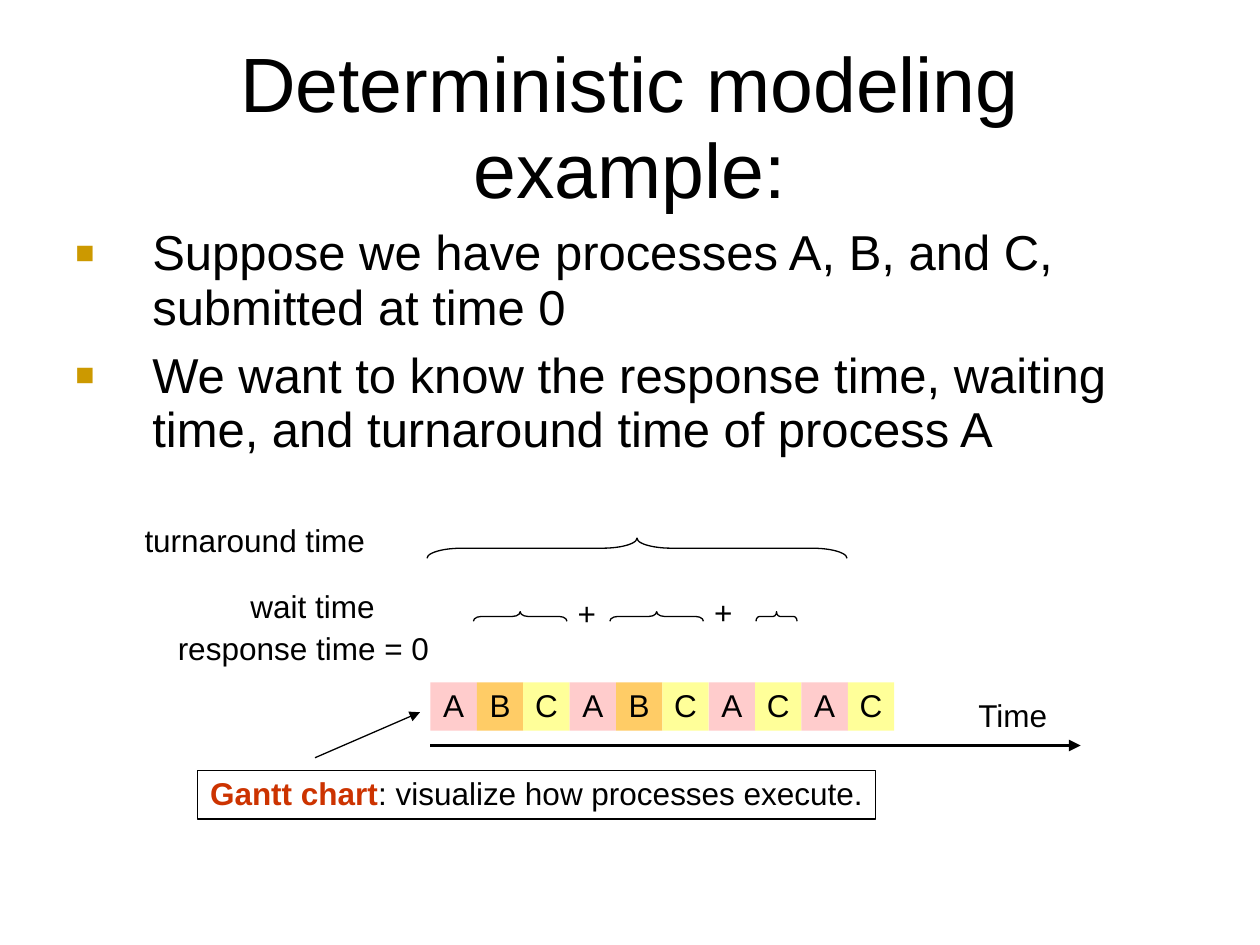
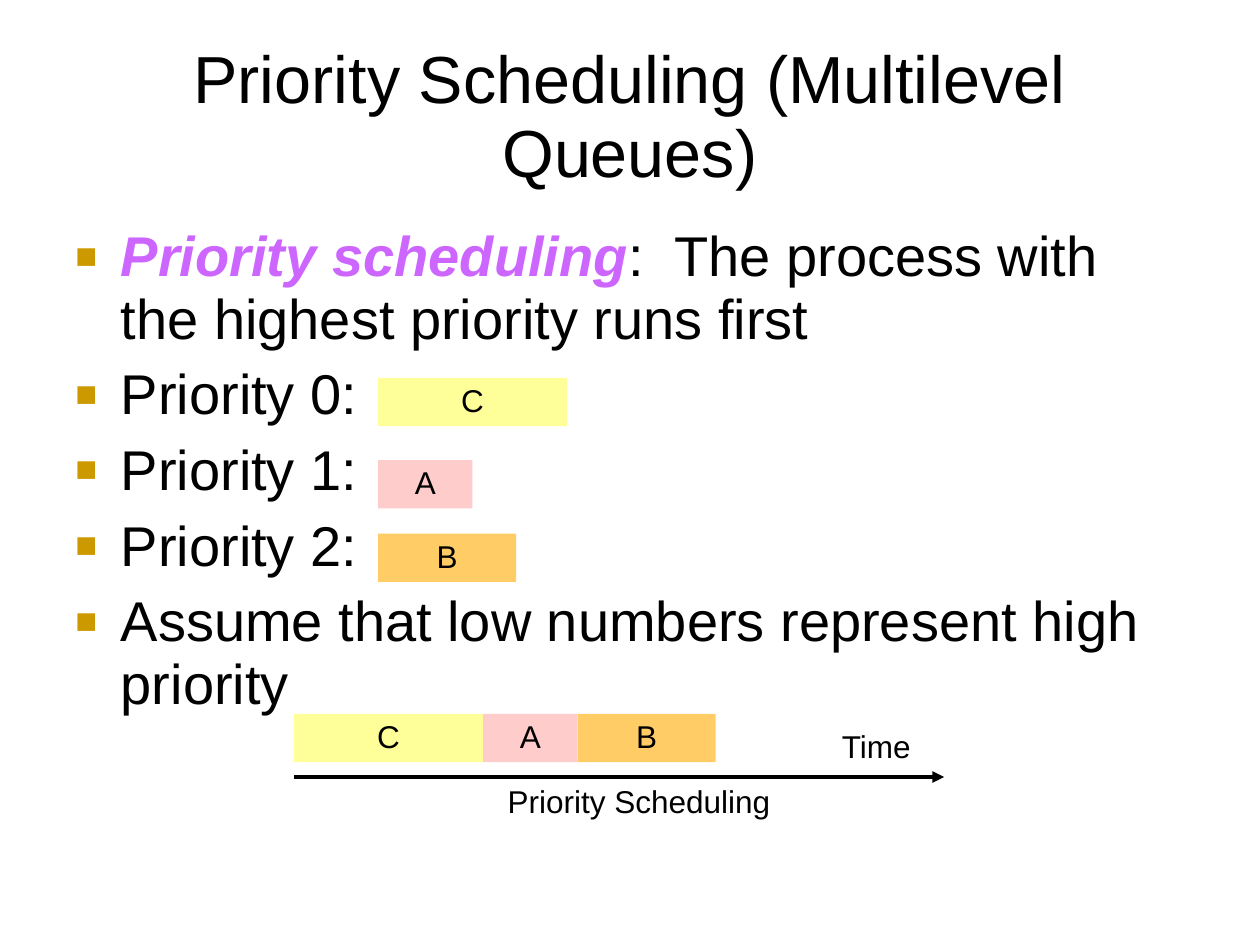
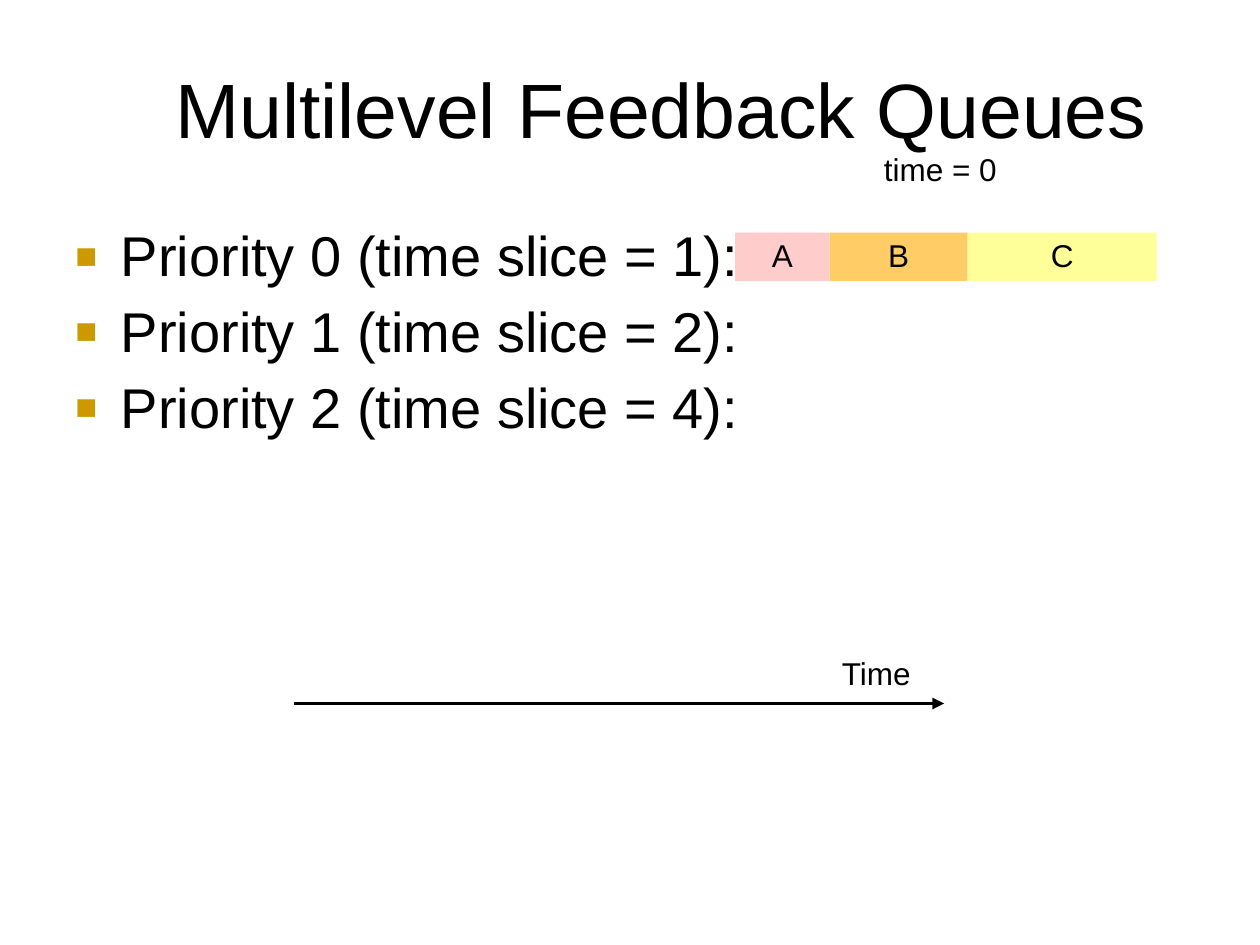
from lxml import etree
from pptx import Presentation
from pptx.dml.color import RGBColor
from pptx.enum.shapes import MSO_CONNECTOR, MSO_SHAPE
from pptx.enum.text import MSO_ANCHOR, MSO_AUTO_SIZE, PP_ALIGN
from pptx.oxml.ns import qn
from pptx.util import Pt

STRAIGHT = MSO_CONNECTOR.STRAIGHT
RECTANGLE, RIGHT_BRACE = MSO_SHAPE.RECTANGLE, MSO_SHAPE.RIGHT_BRACE
LEFT, CENTER = PP_ALIGN.LEFT, PP_ALIGN.CENTER
TOP = MSO_ANCHOR.TOP
NO_AUTOFIT, GROW = MSO_AUTO_SIZE.NONE, MSO_AUTO_SIZE.SHAPE_TO_FIT_TEXT

BLACK = RGBColor(0x00, 0x00, 0x00)
BULLET_GOLD = RGBColor(0xCC, 0x99, 0x00)
TERM_RED = RGBColor(0xCC, 0x33, 0x00)
TERM_VIOLET = RGBColor(0xCC, 0x66, 0xFF)
PROCESS_COLORS = {
    "A": RGBColor(0xFF, 0xCC, 0xCC),
    "B": RGBColor(0xFF, 0xCC, 0x66),
    "C": RGBColor(0xFF, 0xFF, 0x99),
}
PROCESS_LENGTHS = {"A": 54, "B": 79, "C": 108}

FONT = "Arial"
LABEL_SIZE = 18
LINE_SPACING = 0.93
ROW_HEIGHT = 27.5
AXIS_LENGTH = 371.5
AXIS_DROP = 36
BODY_BOX = (36, 126, 648, 356.5)


def box_in_points(box):
    return [Pt(length) for length in box]


def style_paragraph(paragraph, size, align=LEFT):
    paragraph.alignment = align
    paragraph.line_spacing = LINE_SPACING
    font = paragraph.font
    font.name, font.size, font.color.rgb = FONT, Pt(size), BLACK


def add_term(paragraph, term, color, rest, italic=None):
    """Write an emphasised term followed by plain text."""
    run = paragraph.add_run()
    run.text = term
    run.font.bold, run.font.italic = True, italic
    run.font.color.rgb = color
    paragraph.add_run().text = rest


def add_titled_slide(deck, title, size, box):
    slide = deck.slides.add_slide(deck.slide_layouts[5])
    heading = slide.shapes.title
    heading.left, heading.top, heading.width, heading.height = box_in_points(box)
    frame = heading.text_frame
    frame.text = title
    frame.word_wrap = True
    frame.auto_size = NO_AUTOFIT
    frame.vertical_anchor = TOP
    style_paragraph(frame.paragraphs[0], size, CENTER)
    return slide


def add_bullet(paragraph, indent):
    properties = paragraph._p.get_or_add_pPr()
    properties.set("marL", str(Pt(indent)))
    properties.set("indent", str(-Pt(indent)))
    color = etree.SubElement(properties, qn("a:buClr"))
    etree.SubElement(color, qn("a:srgbClr"), val=str(BULLET_GOLD))
    etree.SubElement(properties, qn("a:buSzPct"), val="65000")
    etree.SubElement(properties, qn("a:buFont"), typeface=FONT)
    etree.SubElement(properties, qn("a:buChar"), char="■")


def add_bullets(slide, items, size, indent):
    """List the items; a tuple item holds a term and the text after it."""
    frame = slide.shapes.add_textbox(*box_in_points(BODY_BOX)).text_frame
    frame.word_wrap = True
    for index, item in enumerate(items):
        paragraph = frame.add_paragraph() if index else frame.paragraphs[0]
        add_bullet(paragraph, indent)
        if index:
            paragraph.space_before = Pt(7.5)
        style_paragraph(paragraph, size)
        if isinstance(item, tuple):
            add_term(paragraph, item[0], TERM_VIOLET, item[1], italic=True)
        else:
            paragraph.text = item


def add_label(slide, text, left, top, width):
    """Add a one-line label; the width leaves a little slack for the text."""
    label = slide.shapes.add_textbox(*box_in_points((left, top, width, ROW_HEIGHT)))
    frame = label.text_frame
    frame.word_wrap = False
    frame.auto_size = GROW
    frame.text = text
    style_paragraph(frame.paragraphs[0], LABEL_SIZE)


def add_arrow(slide, start, end, weight):
    arrow = slide.shapes.add_connector(STRAIGHT, *box_in_points(start + end))
    arrow.line.color.rgb = BLACK
    arrow.line.width = Pt(weight)
    etree.SubElement(arrow.line._get_or_add_ln(), qn("a:tailEnd"), type="triangle")
    etree.SubElement(arrow._element.spPr, qn("a:effectLst"))


def add_time_axis(slide, left, y):
    add_arrow(slide, (left, y), (left + AXIS_LENGTH, y), 2.25)
    add_label(slide, "Time", left + 306, y - 30, 54)


def add_process_row(slide, processes, left, top, slot=None):
    """Lay process blocks end to end, by own length or in equal slots."""
    for process in processes:
        width = slot or PROCESS_LENGTHS[process]
        block = slide.shapes.add_shape(
            RECTANGLE, *box_in_points((left, top, width, ROW_HEIGHT)))
        block.shadow.inherit = False
        block.fill.solid()
        block.fill.fore_color.rgb = PROCESS_COLORS[process]
        block.line.fill.background()
        frame = block.text_frame
        frame.margin_left = frame.margin_right = 0
        frame.text = process
        style_paragraph(frame.paragraphs[0], LABEL_SIZE, CENTER)
        left += width


def add_brace_above(slide, left, top, span, depth):
    """Draw a brace pointing up: a right brace turned a quarter left."""
    brace = slide.shapes.add_shape(RIGHT_BRACE, *box_in_points(
        (left + (span - depth) / 2, top - (span - depth) / 2, depth, span)))
    brace.rotation = 270
    brace.adjustments[0] = 0.0833 * span / depth
    brace.shadow.inherit = False
    brace.fill.background()
    brace.line.color.rgb = BLACK
    brace.line.width = Pt(0.75)


def add_gantt_note(slide, left, top):
    note = slide.shapes.add_shape(
        RECTANGLE, *box_in_points((left, top, 387.5, ROW_HEIGHT)))
    note.shadow.inherit = False
    note.fill.background()
    note.line.color.rgb = BLACK
    note.line.width = Pt(0.75)
    note.text_frame.word_wrap = False
    paragraph = note.text_frame.paragraphs[0]
    style_paragraph(paragraph, LABEL_SIZE)
    add_term(paragraph, "Gantt chart", TERM_RED,
             ": visualize how processes execute.")
    add_arrow(slide, (left + 67, top - 7.5), (left + 127, top - 33.5), 0.75)


def add_gantt_chart(slide, left, top):
    add_process_row(slide, "ABCABCACAC", left, top, slot=26.5)
    add_time_axis(slide, left, top + AXIS_DROP)

    add_label(slide, "turnaround time", left - 170.5, top - 94, 142)
    add_brace_above(slide, left - 2, top - 82.5, 240, 11.5)

    add_label(slide, "wait time", left - 110, top - 56, 87)
    for offset, span in ((24.5, 53.5), (102.5, 53.5), (186, 23.5)):
        add_brace_above(slide, left + offset, top - 40.5, span, 5.5)
    for offset, rise in ((77, 52), (155, 53)):
        add_label(slide, "+", left + offset, top - rise, 25)

    add_label(slide, "response time = 0", left - 151.5, top - 32, 159)


def build_modeling_slide(deck):
    slide = add_titled_slide(
        deck, "Deterministic modeling example:", 44, (36, 21.5, 648, 108))
    add_bullets(slide, [
        "Suppose we have processes A, B, and C, submitted at time 0",
        "We want to know the response time, waiting time, and turnaround "
        "time of process A",
    ], 28, 44)
    add_gantt_chart(slide, 246, 390)
    add_gantt_note(slide, 113, 440.5)


def build_priority_slide(deck):
    slide = add_titled_slide(
        deck, "Priority Scheduling (Multilevel Queues)", 38, (36, 21.5, 648, 98.5))
    add_bullets(slide, [
        ("Priority scheduling",
         ":  The process with the highest priority runs first"),
        *(f"Priority {level}:" for level in range(3)),
        "Assume that low numbers represent high priority",
    ], 32, 26)
    for process, top in (("C", 216), ("A", 263), ("B", 305)):
        add_process_row(slide, process, 216, top)

    left, top = 168, 408
    add_process_row(slide, "CAB", left, top)
    add_time_axis(slide, left, top + AXIS_DROP)
    add_label(slide, "Priority Scheduling", left + 115, top + 37, 166)


def build_feedback_slide(deck):
    slide = add_titled_slide(
        deck, "Multilevel Feedback Queues", 44, (54, 36, 648, 90))
    add_bullets(slide, [
        f"Priority {level} (time slice = {2 ** level}):" for level in range(3)
    ], 32, 26)
    add_process_row(slide, "ABC", 420, 133)
    add_label(slide, "time = 0", 498, 84, 80)
    add_time_axis(slide, 168, 402)


def main():
    deck = Presentation()
    deck.slide_width, deck.slide_height = Pt(720), Pt(540)
    build_modeling_slide(deck)
    build_priority_slide(deck)
    build_feedback_slide(deck)
    deck.save("out.pptx")


if __name__ == "__main__":
    main()
